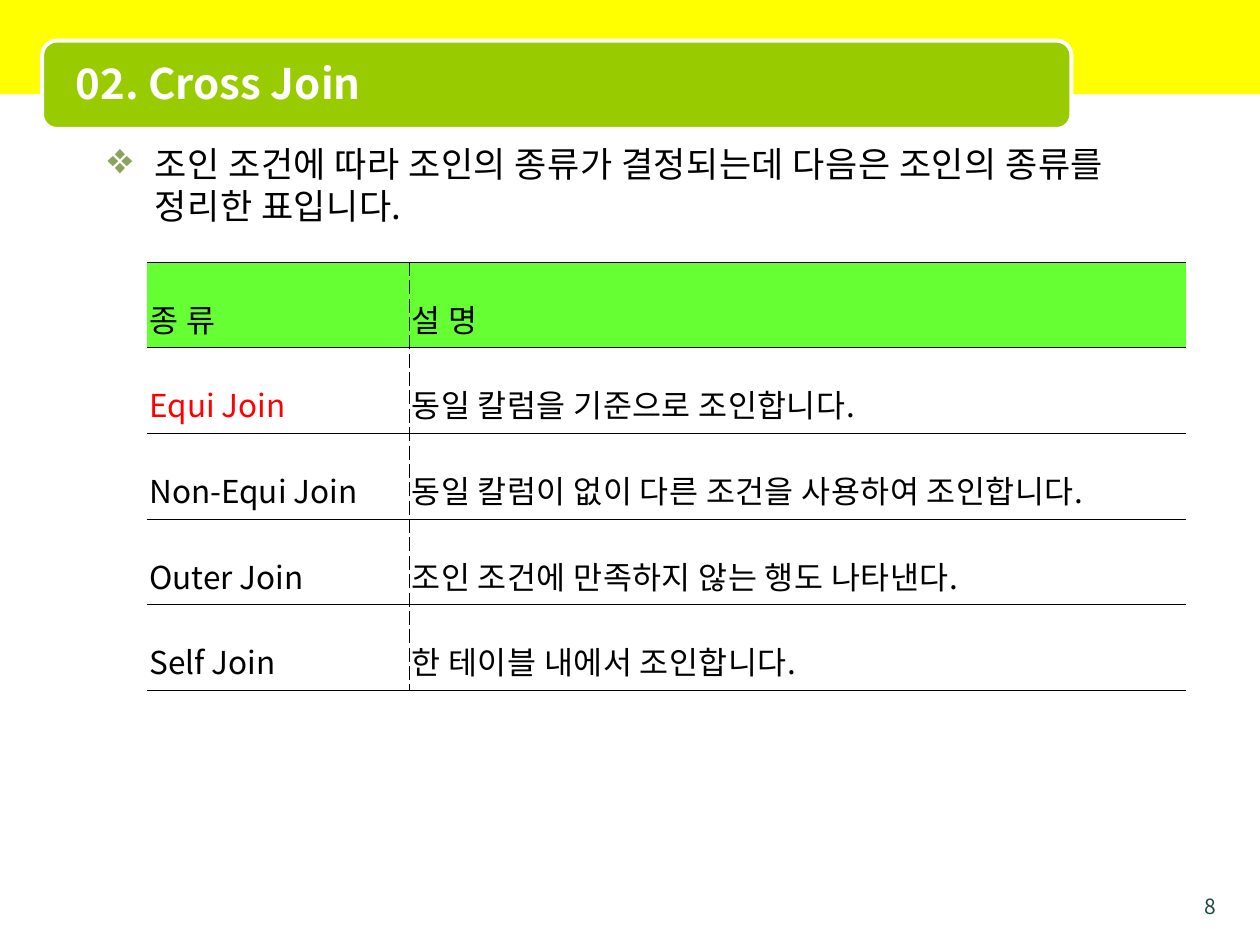
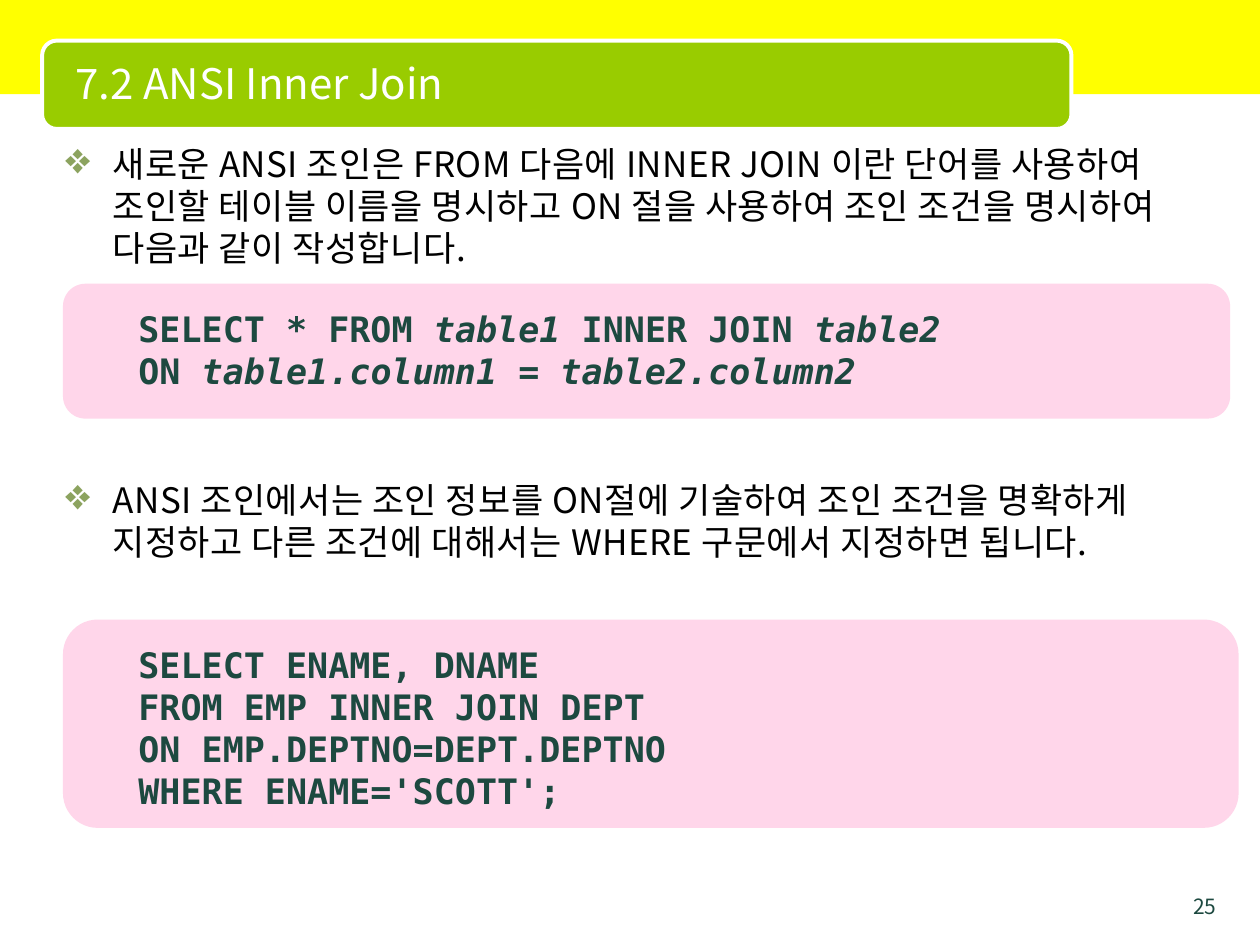
from dataclasses import dataclass

from lxml import etree
from pptx import Presentation
from pptx import util as u
from pptx.dml.color import RGBColor
from pptx.enum import shapes, text
from pptx.oxml import ns

Cm, Pt = u.Cm, u.Pt
SANS, MONO = "Noto Sans CJK KR", "DejaVu Sans Mono"
HUES = {
    "band": "FFFF00", "plate": "99CC00", "white": "FFFFFF", "black": "000000",
    "dark": "1D4940", "bullet": "8CA35F", "code": "FF99CC",
    "head": "66FF33", "red": "FF0000",
}
TRACK = "25"  # letter spacing of Korean text, in hundredths of a point


@dataclass
class Area:
    """A rectangle in centimetres."""
    left: float
    top: float
    width: float
    height: float

    def emu(self) -> tuple:
        return Cm(self.left), Cm(self.top), Cm(self.width), Cm(self.height)


@dataclass
class Page:
    title: str
    number: int
    bold: bool = False


@dataclass
class Point:
    """A bulleted paragraph and the space above it in points."""
    words: str
    gap: float = 24


@dataclass
class Code:
    """A code panel; in each line every second part is italic."""
    area: Area
    lines: list


BAND = Area(0, 0, 25.4, 1.9)
PLATE = Area(0.85, 0.82, 20.75, 1.78)
TITLE = Area(1.27, 0.89, 20.12, 1.57)
NUMBER = Area(23.5, 17.88, 1.27, 0.53)
GRID = Area(2.96, 5.28, 20.95, 8.63)
COLS = (5.29, 15.66)

JOINS = [
    ("종 류", "설 명"),
    ("Equi Join", "동일 칼럼을 기준으로 조인합니다."),
    ("Non-Equi Join", "동일 칼럼이 없이 다른 조건을 사용하여 조인합니다."),
    ("Outer Join", "조인 조건에 만족하지 않는 행도 나타낸다."),
    ("Self Join", "한 테이블 내에서 조인합니다."),
]
KINDS = [Point("조인 조건에 따라 조인의 종류가 결정되는데 다음은 조인의 종류를 정리한 표입니다.")]
INNER = [
    Point("새로운 ANSI 조인은 FROM 다음에 INNER JOIN 이란 단어를 사용하여 조인할 테이블 "
          "이름을 명시하고 ON 절을 사용하여 조인 조건을 명시하여 다음과 같이 작성합니다."),
    Point("ANSI 조인에서는 조인 정보를 ON절에 기술하여 조인 조건을 명확하게 지정하고 "
          "다른 조건에 대해서는 WHERE 구문에서 지정하면 됩니다.", 120),
]
CODES = [
    Code(Area(1.27, 5.72, 23.53, 2.72), [
        ("SELECT * FROM ", "table1", " INNER JOIN ", "table2"),
        ("ON ", "table1.column1 = table2.column2"),
    ]),
    Code(Area(1.27, 12.49, 23.7, 4.2), [
        ("SELECT ENAME, DNAME",),
        ("FROM EMP INNER JOIN DEPT",),
        ("ON EMP.DEPTNO=DEPT.DEPTNO",),
        ("WHERE ENAME='SCOTT';",),
    ]),
]


def rgb(hue: str) -> RGBColor:
    return RGBColor.from_string(HUES[hue])


def sub(node, tag: str, **attrs: str):
    return etree.SubElement(node, ns.qn(tag), attrs)


def style(para, size: float, hue: str, face: str = SANS, bold: bool = False) -> None:
    for run in para.runs:
        font = run.font
        font.name, font.size, font.bold = face, Pt(size), bold
        font.color.rgb = rgb(hue)
        props = font._element
        latin = props.find(ns.qn("a:latin"))
        latin.addnext(etree.Element(ns.qn("a:ea"), typeface=face))
        if not run.text.isascii():
            props.set("spc", TRACK)


def add_box(host, kind, area: Area, hue: str):
    box = host.add_shape(kind, *area.emu())
    box.shadow.inherit = False
    box.fill.solid()
    box.fill.fore_color.rgb = rgb(hue)
    box.line.fill.background()
    return box


def add_frame(host, area: Area):
    frame = host.add_textbox(*area.emu()).text_frame
    frame.word_wrap = True
    return frame


def add_page(deck, page: Page):
    """Add a slide with the bands, title and page number."""
    slide = deck.slides.add_slide(deck.slide_layouts[5])
    add_box(slide.shapes, shapes.MSO_SHAPE.RECTANGLE, BAND, "band")
    plate = add_box(slide.shapes, shapes.MSO_SHAPE.ROUNDED_RECTANGLE, PLATE, "plate")
    plate.line.color.rgb = rgb("white")
    plate.line.width = Pt(2.25)

    title = slide.shapes.title
    title.element.getparent().append(title.element)  # bring above the bands
    title.left, title.top, title.width, title.height = TITLE.emu()
    frame = title.text_frame
    frame.text = page.title
    frame.auto_size = text.MSO_AUTO_SIZE.NONE
    frame.vertical_anchor = text.MSO_ANCHOR.MIDDLE
    para = frame.paragraphs[0]
    para.alignment = text.PP_ALIGN.LEFT
    style(para, 24, "white", bold=page.bold)

    foot = add_frame(slide.shapes, NUMBER)
    foot.text = str(page.number)
    foot.paragraphs[0].alignment = text.PP_ALIGN.RIGHT
    style(foot.paragraphs[0], 12, "dark")
    return slide


def add_points(slide, area: Area, points: list) -> None:
    frame = add_frame(slide.shapes, area)
    for i, point in enumerate(points):
        para = frame.add_paragraph() if i else frame.paragraphs[0]
        para.text = point.words
        para.line_spacing = Pt(24)
        para.space_before = Pt(point.gap)
        style(para, 20, "black")
        props = para._p.get_or_add_pPr()
        props.set("marL", str(Cm(0.95)))
        props.set("indent", str(-Cm(0.95)))
        sub(sub(props, "a:buClr"), "a:srgbClr", val=HUES["bullet"])
        sub(props, "a:buSzPct", val="125000")
        sub(props, "a:buChar", char="❖")


def add_edge(props, side: str, width: float, dash: str) -> None:
    """Draw one cell border, or none where the width is 0."""
    line = sub(props, f"a:ln{side}", w=str(Pt(width)))
    if width:
        sub(sub(line, "a:solidFill"), "a:srgbClr", val=HUES["black"])
        sub(line, "a:prstDash", val=dash)
    else:
        sub(line, "a:noFill")


def add_grid(slide, rows: list) -> None:
    table = slide.shapes.add_table(len(rows), len(COLS), *GRID.emu()).table
    for col, width in zip(table.columns, COLS):
        col.width = Cm(width)
    for r, row in enumerate(rows):
        table.rows[r].height = Cm(GRID.height / len(rows))
        for c, words in enumerate(row):
            cell = table.cell(r, c)
            cell.text = words
            cell.margin_left = cell.margin_right = Cm(0.05)
            cell.margin_top = cell.margin_bottom = Cm(0.13)
            cell.vertical_anchor = text.MSO_ANCHOR.MIDDLE
            para = cell.text_frame.paragraphs[0]
            para.alignment = text.PP_ALIGN.JUSTIFY
            para.line_spacing = 1.6
            style(para, 18, "red" if (r, c) == (1, 0) else "black")
            props = cell._tc.get_or_add_tcPr()
            add_edge(props, "L", 0.28 if c else 0, "dash")
            add_edge(props, "R", 0 if c else 0.28, "dash")
            add_edge(props, "T", 0.11, "solid")
            add_edge(props, "B", 0.11, "solid")
            cell.fill.solid()
            cell.fill.fore_color.rgb = rgb("white" if r else "head")


def add_code(slide, code: Code) -> None:
    group = slide.shapes.add_group_shape().shapes
    area = code.area
    panel = add_box(group, shapes.MSO_SHAPE.ROUNDED_RECTANGLE, area, "code")
    tint = next(panel.element.iter(ns.qn("a:srgbClr")))
    sub(tint, "a:alpha", val="40000")
    inner = Area(area.left + 1.27, area.top + 0.35, 17.93, 0.25 + 0.85 * len(code.lines))
    frame = add_frame(group, inner)
    for i, parts in enumerate(code.lines):
        para = frame.add_paragraph() if i else frame.paragraphs[0]
        para.line_spacing = Pt(24)
        for k, part in enumerate(parts):
            run = para.add_run()
            run.text = part
            run.font.italic = k % 2 == 1
        style(para, 20, "dark", MONO, True)


def main() -> None:
    deck = Presentation()
    deck.slide_width, deck.slide_height = Cm(25.4), Cm(19.05)

    slide = add_page(deck, Page("02. Cross Join", 8, True))
    add_points(slide, Area(1.92, 2.74, 22.02, 15.6), KINDS)
    add_grid(slide, JOINS)

    slide = add_page(deck, Page("7.2 ANSI Inner Join", 25))
    add_points(slide, Area(1.07, 2.74, 22.86, 15.6), INNER)
    for code in CODES:
        add_code(slide, code)

    deck.save("out.pptx")


if __name__ == "__main__":
    main()
